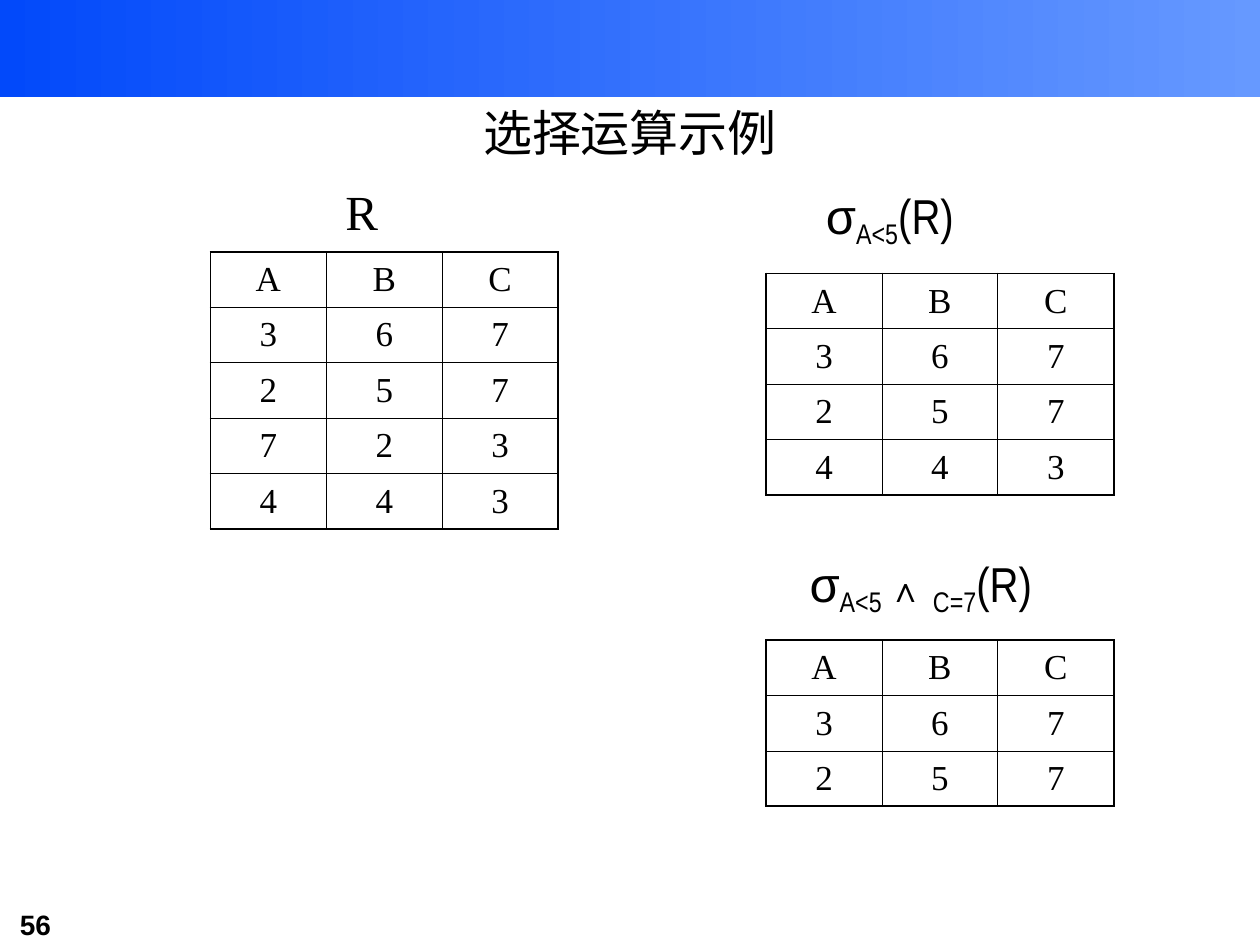
"""Builds the slide showing worked examples of relational selection."""
from dataclasses import dataclass
from typing import Any

from lxml.etree import SubElement
from pptx import Presentation
from pptx.dml.color import RGBColor
from pptx.enum.shapes import MSO_SHAPE
from pptx.enum.text import MSO_ANCHOR, PP_ALIGN
from pptx.oxml.ns import qn
from pptx.util import Inches, Pt


@dataclass(frozen=True)
class Theme:
    ink: str = "000000"
    deep: str = "0249FA"
    pale: str = "6699FF"
    serif: str = "Times New Roman"
    sans: str = "Arial"
    narrow: str = "Arial Narrow"
    head: int = 28
    body: int = 20
    page: int = 16
    tail: int = 36
    thick: float = 1.08
    thin: float = 0.45


THEME = Theme()


@dataclass(frozen=True)
class Piece:
    text: str
    font: str = THEME.serif
    size: int = THEME.head
    sub: bool = False
    bold: bool = False


@dataclass(frozen=True)
class Label:
    box: tuple[float, float, float, float]
    words: tuple[Piece, ...]
    top: float = 0.11
    align: Any = PP_ALIGN.CENTER
    anchor: Any = MSO_ANCHOR.TOP


@dataclass(frozen=True)
class Grid:
    left: float
    top: float
    rows: tuple[str, ...]


SIGMA = Piece("σ", THEME.sans)
UNDER = Piece("A<5", THEME.narrow, sub=True)
REST = (Piece("(R)", THEME.narrow), Piece(" ", size=THEME.tail))

LABELS = (
    Label((0.06, 7.13, 1.22, 0.37),
          (Piece("56", THEME.sans, THEME.page, bold=True),), 0.07, PP_ALIGN.LEFT),
    Label((0.75, 0.67, 8.5, 0.75), (Piece("选择运算示例"),), 0.05,
          anchor=MSO_ANCHOR.MIDDLE),
    Label((2.58, 1.33, 0.58, 0.57), (Piece("R"),)),
    Label((6.25, 1.25, 1.75, 0.73), (SIGMA, UNDER, *REST)),
    Label((6.08, 4.17, 2.58, 0.73),
          (SIGMA, Piece("A<5 ", THEME.narrow, sub=True),
           Piece("∧ ", THEME.sans, THEME.body),
           Piece("C=7", THEME.narrow, sub=True), *REST)),
)

GRIDS = (
    Grid(1.67, 2.0, ("ABC", "367", "257", "723", "443")),
    Grid(6.08, 2.17, ("ABC", "367", "257", "443")),
    Grid(6.08, 5.08, ("ABC", "367", "257")),
)
WIDE, HIGH = Inches(0.92), Inches(0.44)


def write(para: Any, piece: Piece) -> None:
    run = para.add_run()
    run.text = piece.text
    style = {"name": piece.font, "size": Pt(piece.size), "bold": piece.bold}
    for key, value in style.items():
        setattr(run.font, key, value)
    run.font.color.rgb = RGBColor.from_string(THEME.ink)
    if piece.sub:
        run.font._element.set("baseline", "-20000")


def draw_band(slide: Any) -> None:
    band = slide.shapes.add_shape(MSO_SHAPE.RECTANGLE, 0, 0, Inches(10), Inches(0.77))
    band.shadow.inherit = False
    band.line.fill.background()
    band.fill.gradient()
    band.fill.gradient_angle = 0
    for stop, tint in zip(band.fill.gradient_stops, (THEME.deep, THEME.pale)):
        stop.color.rgb = RGBColor.from_string(tint)


def draw_label(slide: Any, label: Label) -> None:
    frame = slide.shapes.add_textbox(*map(Inches, label.box)).text_frame
    style = {"word_wrap": True, "margin_top": Inches(label.top),
             "vertical_anchor": label.anchor}
    for key, value in style.items():
        setattr(frame, key, value)
    para = frame.paragraphs[0]
    para.alignment = label.align
    for piece in label.words:
        write(para, piece)


def rule(cell: Any, edges: dict[str, bool]) -> None:
    props = cell._tc.get_or_add_tcPr()
    for side, outer in edges.items():
        width = Pt(THEME.thick if outer else THEME.thin)
        line = SubElement(props, qn(f"a:ln{side}"), w=str(width))
        fill = SubElement(line, qn("a:solidFill"))
        SubElement(fill, qn("a:srgbClr"), val=THEME.ink)


def draw_grid(slide: Any, grid: Grid) -> None:
    rows, cols = len(grid.rows), len(grid.rows[0])
    table = slide.shapes.add_table(rows, cols, Inches(grid.left), Inches(grid.top),
                                   WIDE * cols, HIGH * rows).table
    for key in ("first_row", "horz_banding"):
        setattr(table, key, False)
    for y, row in enumerate(grid.rows):
        for x, text in enumerate(row):
            cell = table.cell(y, x)
            rule(cell, {"L": x == 0, "R": x == cols - 1,
                        "T": y == 0, "B": y == rows - 1})
            cell.fill.background()
            cell.vertical_anchor = MSO_ANCHOR.MIDDLE
            para = cell.text_frame.paragraphs[0]
            para.alignment = PP_ALIGN.CENTER
            write(para, Piece(text, size=THEME.body))


def main() -> None:
    deck = Presentation()
    deck.slide_width, deck.slide_height = Inches(10), Inches(7.5)
    slide = deck.slides.add_slide(deck.slide_layouts[6])
    draw_band(slide)
    for label in LABELS:
        draw_label(slide, label)
    for grid in GRIDS:
        draw_grid(slide, grid)
    deck.save("out.pptx")


if __name__ == "__main__":
    main()
